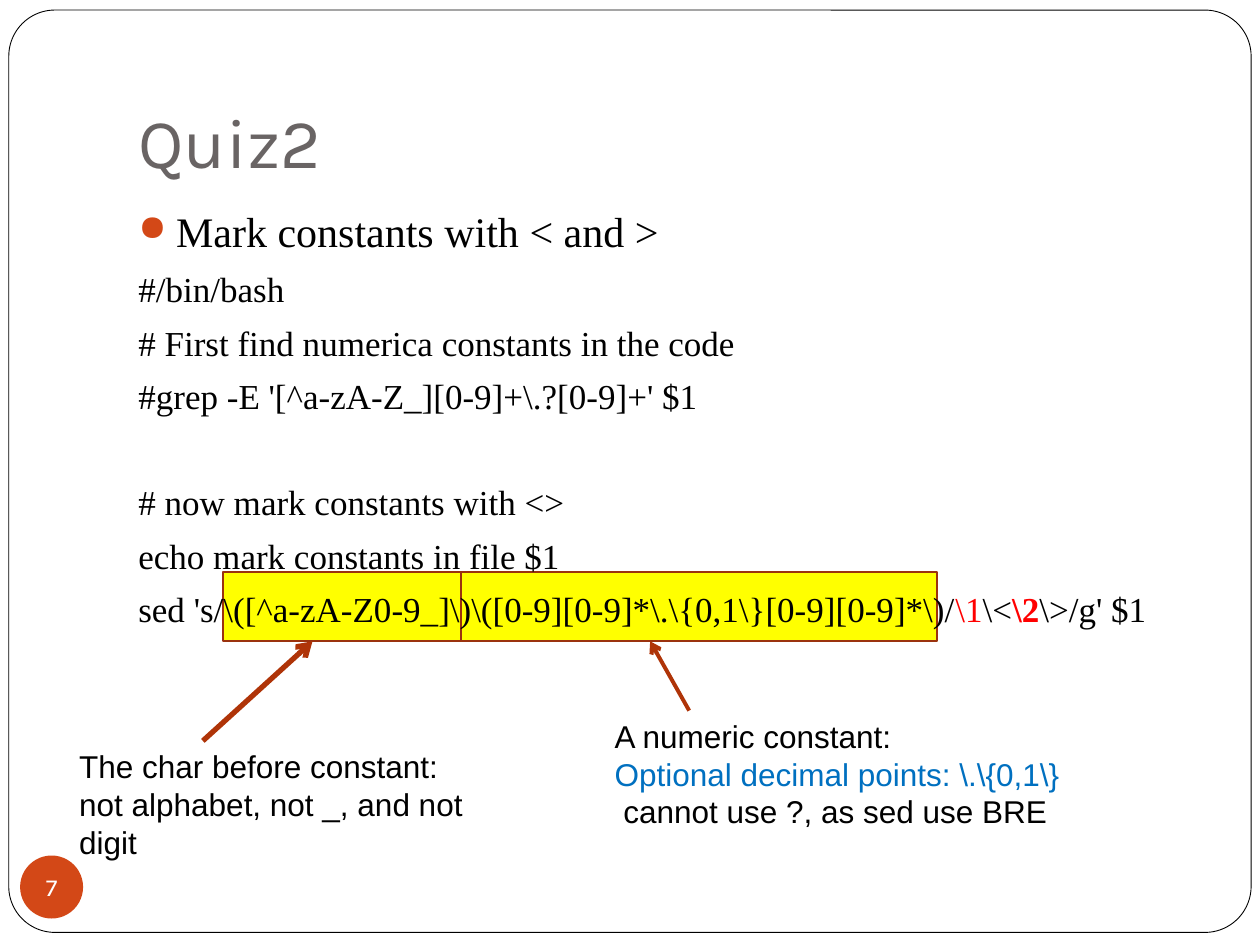
from dataclasses import dataclass

from lxml import etree
from pptx import Presentation
from pptx import util as u
from pptx.dml.color import RGBColor
from pptx.enum import shapes, text
from pptx.oxml import ns


@dataclass(frozen=True)
class Theme:
    black: str = "000000"
    white: str = "FFFFFF"
    title: str = "696464"
    accent: str = "D34817"
    arrow: str = "AF3408"
    highlight: str = "FFFF00"
    highlight_line: str = "9B320E"
    red: str = "FF0000"
    blue: str = "0070C0"
    heading_font: str = "Karla"
    body_font: str = "Times New Roman"
    note_font: str = "Arial"
    title_size: float = 40
    bullet_size: float = 24
    code_size: float = 20
    note_size: float = 18
    number_size: float = 14


class SlideBuilder:
    """Draw styled elements on one slide."""

    def __init__(self, slide, theme):
        self.slide = slide
        self.theme = theme

    def panel(self, kind, box, fill, line=None, width=1.0):
        shape = self.slide.shapes.add_shape(kind, *map(u.Inches, box))
        shape.shadow.inherit = False
        shape.fill.solid()
        shape.fill.fore_color.rgb = RGBColor.from_string(fill)
        if line:
            shape.line.color.rgb = RGBColor.from_string(line)
            shape.line.width = u.Pt(width)
        else:
            shape.line.fill.background()
        return shape

    def text_box(self, box, wrap=True, anchor=text.MSO_ANCHOR.TOP):
        frame = self.slide.shapes.add_textbox(*map(u.Inches, box)).text_frame
        frame.word_wrap = wrap
        frame.vertical_anchor = anchor
        return frame

    def add_runs(self, paragraph, runs, font, size):
        for words, color, bold in runs:
            run = paragraph.add_run()
            run.text = words
            run.font.name = font
            run.font.size = u.Pt(size)
            run.font.bold = bold
            run.font.color.rgb = RGBColor.from_string(color)

    def next_paragraph(self, frame):
        first = frame.paragraphs[0]
        return frame.add_paragraph() if first.runs else first

    def title(self, box, words):
        frame = self.text_box(box, anchor=text.MSO_ANCHOR.BOTTOM)
        frame.margin_bottom = u.Inches(0.1)
        self.add_runs(frame.paragraphs[0], [(words, self.theme.title, False)],
                      self.theme.heading_font, self.theme.title_size)

    def body_line(self, frame, runs, size, space, bullet=None):
        paragraph = self.next_paragraph(frame)
        paragraph.space_before = u.Pt(space)
        self.add_runs(paragraph, runs, self.theme.body_font, size)
        properties = paragraph._p.get_or_add_pPr()
        properties.set("marL", str(u.Inches(0.3)))
        properties.set("indent", str(u.Inches(-0.3)))
        if bullet:
            color = etree.SubElement(properties, ns.qn("a:buClr"))
            etree.SubElement(color, ns.qn("a:srgbClr"), val=self.theme.accent)
            etree.SubElement(properties, ns.qn("a:buSzPct"), val="85000")
            etree.SubElement(properties, ns.qn("a:buChar"), char=bullet)
        else:
            etree.SubElement(properties, ns.qn("a:buNone"))

    def note(self, box, lines):
        frame = self.text_box(box, wrap=False)
        for words, color in lines:
            self.add_runs(self.next_paragraph(frame), [(words, color, False)],
                          self.theme.note_font, self.theme.note_size)

    def arrow(self, start, end, width):
        connector = self.slide.shapes.add_connector(
            shapes.MSO_CONNECTOR.STRAIGHT, *map(u.Inches, start + end))
        connector.line.color.rgb = RGBColor.from_string(self.theme.arrow)
        connector.line.width = u.Pt(width)
        etree.SubElement(connector.line._get_or_add_ln(), ns.qn("a:tailEnd"), type="arrow")
        etree.SubElement(connector._element.spPr, ns.qn("a:effectLst"))

    def page_number(self, box, number):
        frame = self.panel(shapes.MSO_SHAPE.OVAL, box, self.theme.accent).text_frame
        frame.word_wrap = False
        frame.vertical_anchor = text.MSO_ANCHOR.MIDDLE
        frame.margin_left = frame.margin_right = frame.margin_top = frame.margin_bottom = 0
        paragraph = frame.paragraphs[0]
        paragraph.alignment = text.PP_ALIGN.CENTER
        self.add_runs(paragraph, [(number, self.theme.white, False)],
                      self.theme.heading_font, self.theme.number_size)


def main():
    theme = Theme()
    presentation = Presentation()
    presentation.slide_width, presentation.slide_height = u.Inches(10), u.Inches(7.5)
    slide = presentation.slides.add_slide(presentation.slide_layouts[6])
    builder = SlideBuilder(slide, theme)

    border = builder.panel(shapes.MSO_SHAPE.ROUNDED_RECTANGLE, (0.07, 0.08, 9.86, 7.32),
                           theme.white, theme.black, 0.5)
    border.adjustments[0] = 0.05
    for left, width in ((3.66, 3.78), (1.77, 1.89)):
        builder.panel(shapes.MSO_SHAPE.RECTANGLE, (left, 4.54, width, 0.55),
                      theme.highlight, theme.highlight_line)

    builder.title((1, 0.3, 8.5, 1.25), "Quiz2")

    body = builder.text_box((1, 1.58, 8.5, 5))
    builder.body_line(body, [("Mark constants with < and >", theme.black, False)],
                      theme.bullet_size, 3, bullet="●")
    line_space, section_space = 6.7, 36.4
    for words, space in (
        ("#/bin/bash", line_space),
        ("# First find numerica constants in the code", line_space),
        (r"#grep -E '[^a-zA-Z_][0-9]+\.?[0-9]+' $1", line_space),
        ("# now mark constants with <>", section_space),
        ("echo mark constants in file $1", line_space),
    ):
        builder.body_line(body, [(words, theme.black, False)], theme.code_size, space)
    sed_command = [
        (r"sed 's/\([^a-zA-Z0-9_]\)\([0-9][0-9]*\.\{0,1\}[0-9][0-9]*\)/", theme.black, False),
        (r"\1", theme.red, False),
        (r"\<", theme.black, False),
        (r"\2", theme.red, True),
        (r"\>/g' $1", theme.black, False),
    ]
    builder.body_line(body, sed_command, theme.code_size, line_space)

    builder.page_number((0.16, 6.79, 0.5, 0.5), "7")

    builder.note((0.53, 5.88, 3.31, 1), [
        ("The char before constant:", theme.black),
        ("not alphabet, not _, and not", theme.black),
        ("digit", theme.black),
    ])
    builder.arrow((1.61, 5.88), (2.48, 5.09), 3)
    builder.note((4.78, 5.64, 3.73, 1), [
        ("A numeric constant:", theme.black),
        (r"Optional decimal points: \.\{0,1\}", theme.blue),
        (" cannot use ?, as sed use BRE", theme.black),
    ])
    builder.arrow((5.47, 5.64), (5.16, 5.09), 2.25)

    presentation.save("out.pptx")


if __name__ == "__main__":
    main()
